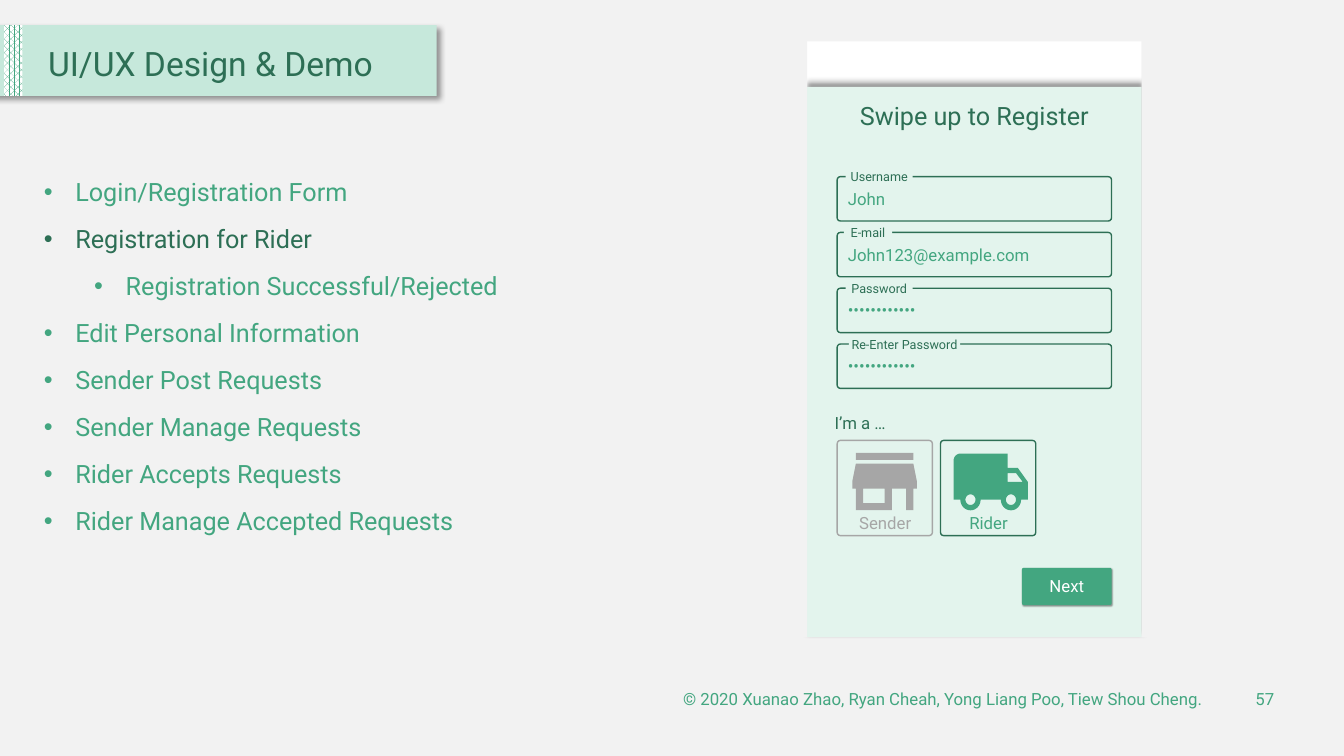
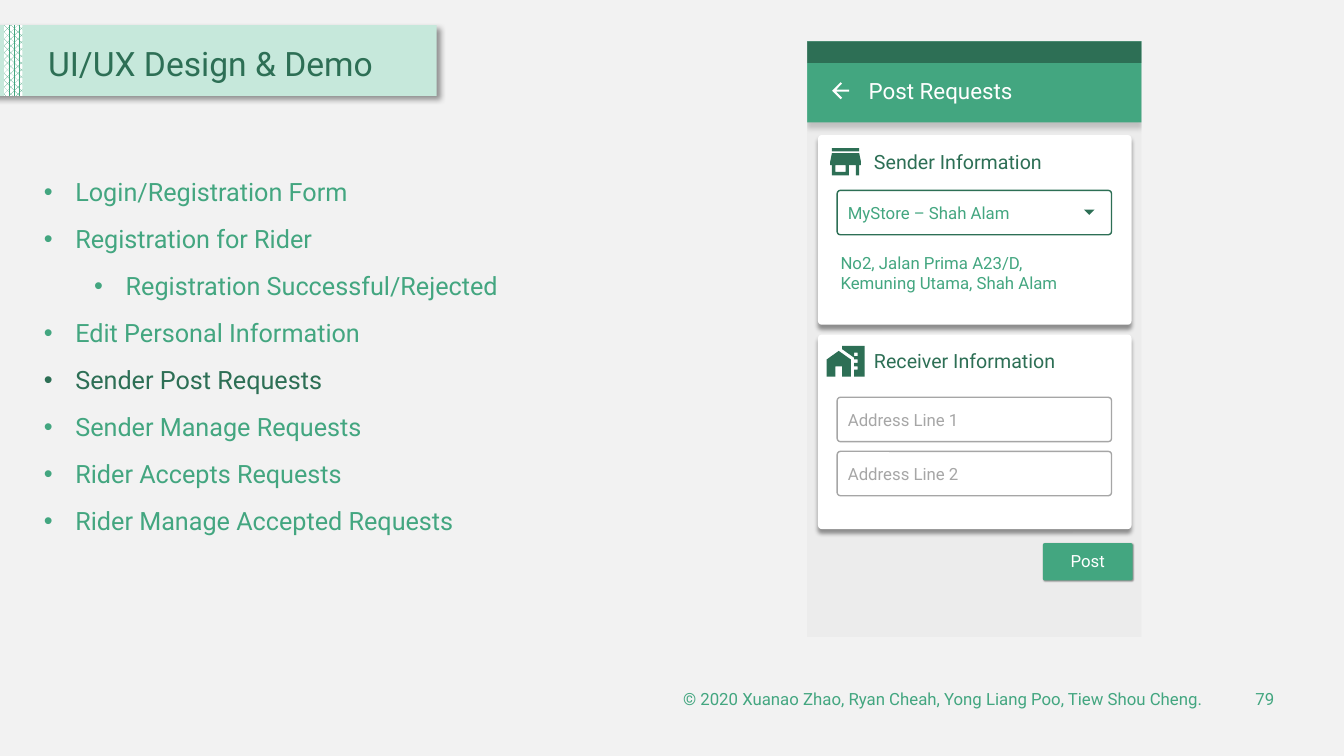
import math
from dataclasses import dataclass

from lxml import etree
from pptx import Presentation
from pptx.dml.color import RGBColor
from pptx.enum import dml, shapes, text
from pptx.oxml import ns
from pptx.util import Pt


@dataclass(frozen=True)
class Theme:
    font: str = "Roboto"
    page: str = "F2F2F2"
    band: str = "C6E8DB"
    panel: str = "E3F4ED"
    screen: str = "ECECEC"
    green: str = "43A680"
    dark: str = "2D6F55"
    grey: str = "A6A6A6"
    white: str = "FFFFFF"
    title: int = 24
    lead: int = 18
    header: int = 16
    card: int = 14
    body: int = 12
    caption: int = 9


T = Theme()
RECT = shapes.MSO_SHAPE.RECTANGLE
ROUND = shapes.MSO_SHAPE.ROUNDED_RECTANGLE
LEFT, CENTER, RIGHT = text.PP_ALIGN.LEFT, text.PP_ALIGN.CENTER, text.PP_ALIGN.RIGHT
TOP, MIDDLE = text.MSO_ANCHOR.TOP, text.MSO_ANCHOR.MIDDLE


def add_box(s, pos, fill=None, line=None, radius=None, shadow=None):
    """Radius is a share of the short side; shadow is (colour, blur, distance, degrees)."""
    sp = s.shapes.add_shape(RECT if radius is None else ROUND, *map(Pt, pos))
    if radius is not None:
        sp.adjustments[0] = radius
    if fill:
        sp.fill.solid()
        sp.fill.fore_color.rgb = RGBColor.from_string(fill)
    else:
        sp.fill.background()
    if line:
        sp.line.color.rgb = RGBColor.from_string(line)
        sp.line.width = Pt(1)
    else:
        sp.line.fill.background()
    sp.shadow.inherit = False
    if shadow:
        color, blur, dist, angle = shadow
        effects = sp._element.spPr.find(ns.qn("a:effectLst"))
        outer = etree.SubElement(effects, ns.qn("a:outerShdw"), blurRad=str(Pt(blur)),
                                 dist=str(Pt(dist)), dir=str(angle * 60000),
                                 algn="ctr", rotWithShape="0")
        rgb = etree.SubElement(outer, ns.qn("a:srgbClr"), val=color)
        etree.SubElement(rgb, ns.qn("a:alpha"), val="40000")
    return sp


def add_text(s, pos, words, size, color, align=LEFT, anchor=TOP):
    sp = s.shapes.add_textbox(*map(Pt, pos))
    tf = sp.text_frame
    tf.word_wrap = True
    tf.vertical_anchor = anchor
    p = tf.paragraphs[0]
    p.alignment = align
    r = p.add_run()
    r.text = words
    r.font.name = T.font
    r.font.size = Pt(size)
    r.font.color.rgb = RGBColor.from_string(color)
    return sp


prs = Presentation()
prs.slide_width, prs.slide_height = Pt(960), Pt(540)

# Shared frame: title band, topic list, footer
TOPICS = [
    (0, "Login/Registration Form"),
    (0, "Registration for Rider"),
    (1, "Registration Successful/Rejected"),
    (0, "Edit Personal Information"),
    (0, "Sender Post Requests"),
    (0, "Sender Manage Requests"),
    (0, "Rider Accepts Requests"),
    (0, "Rider Manage Accepted Requests"),
]
COPYRIGHT = "© 2020 Xuanao Zhao, Ryan Cheah, Yong Liang Poo, Tiew Shou Cheng."

slides = []
for number, current in [("57", "Registration for Rider"), ("79", "Sender Post Requests")]:
    s = prs.slides.add_slide(prs.slide_layouts[6])
    slides.append(s)
    s.background.fill.solid()
    s.background.fill.fore_color.rgb = RGBColor.from_string(T.page)

    add_box(s, (-15, 18, 327, 50.5), T.band, shadow=("000000", 4, 3, 45))
    stripe = add_box(s, (3, 18, 13, 50.5))
    stripe.fill.patterned()
    stripe.fill.pattern = dml.MSO_PATTERN.PERCENT_70
    stripe.fill.fore_color.rgb = RGBColor.from_string(T.green)
    stripe.fill.back_color.rgb = RGBColor.from_string(T.white)
    title = add_text(s, (27.3, 25.5, 285, 43), "UI/UX Design & Demo", T.title, T.dark,
                     anchor=MIDDLE)
    title.text_frame.paragraphs[0].line_spacing = 0.9

    tf = s.shapes.add_textbox(Pt(24.2), Pt(122.5), Pt(359), Pt(266)).text_frame
    tf.word_wrap = True
    for i, (level, topic) in enumerate(TOPICS):
        p = tf.add_paragraph() if i else tf.paragraphs[0]
        p.level = level
        if i:
            p.space_before = Pt(12)
        pPr = p._p.get_or_add_pPr()
        pPr.set("marL", str(Pt(22.5 + 36 * level)))
        pPr.set("indent", str(Pt(-22.5)))
        etree.SubElement(pPr, ns.qn("a:buFont"), typeface="Arial")
        etree.SubElement(pPr, ns.qn("a:buChar"), char="•")
        r = p.add_run()
        r.text = topic
        r.font.name = T.font
        r.font.size = Pt(T.lead)
        r.font.color.rgb = RGBColor.from_string(T.dark if topic == current else T.green)

    add_text(s, (391.7, 485, 474.5, 28.5), COPYRIGHT, T.body, T.green, RIGHT, MIDDLE)
    add_text(s, (875, 485, 42.3, 28.5), number, T.body, T.green, RIGHT, MIDDLE)

register, post = slides

# Phone screens
X, Y, W, H = 576.5, 29.5, 239, 425.5
add_box(register, (X, Y, W, H), T.white)
add_box(register, (X, 62, W, Y + H - 62), T.panel, shadow=("000000", 4, 3, 270))
add_box(post, (X, Y, W, H), T.screen)
add_box(post, (X, Y, W, 58), T.green, shadow=("808080", 4, 4, 90))
add_box(post, (X, Y, W, 15.5), T.dark)
for s in slides:
    for margin_left in (X - 12, X + W):
        add_box(s, (margin_left, Y, 12, H), T.page)

add_text(register, (X, 68, W, 29), "Swipe up to Register", T.lead, T.dark, CENTER)
add_text(register, (589, 291, 184, 21.6), "I’m a …", T.body, T.dark)
add_text(post, (613.4, 51.2, 126, 26.5), "Post Requests", T.header, T.white, anchor=MIDDLE)

for top, height, heading in [(96.5, 135.5, "Sender Information"),
                             (239, 139, "Receiver Information")]:
    add_box(post, (584.3, top, 224, height), T.white, radius=0.02,
            shadow=("000000", 3, 3, 90))
    add_text(post, (617.2, top + 6.7, 145, 24.5), heading, T.card, T.dark)
add_text(post, (593.3, 177, 184.5, 36), "No2, Jalan Prima A23/D, Kemuning Utama, Shah Alam",
         T.body, T.green)

# Form fields
FIELD_X, FIELD_W, FIELD_H, PITCH = 598, 196, 31.7, 39.85
DOTS = "••••••••••••"
FORM = [("Username", 604, 48, "John"), ("E-mail", 602.7, 34.5, "John123@example.com"),
        ("Password", 604, 48, DOTS), ("Re-Enter Password", 606.3, 79.5, DOTS)]
fields = [(register, 126.2 + i * PITCH, row[-1], T.dark, T.green)
          for i, row in enumerate(FORM)]
fields.append((post, 136, "MyStore – Shah Alam", T.dark, T.green))
fields += [(post, 283.8 + 38.6 * i, f"Address Line {i + 1}", T.grey, T.grey)
           for i in range(2)]
for s, top, value, line, color in fields:
    add_box(s, (FIELD_X, top, FIELD_W, FIELD_H), line=line, radius=0.075)
    add_text(s, (FIELD_X + 0.5, top + 5, FIELD_W - 4, 21.6), value, T.body, color)

for i, (name, left, width, value) in enumerate(FORM):
    caption = add_text(register, (left, 121.6 + i * PITCH, width, 9.4), name,
                       T.caption, T.dark, CENTER, MIDDLE)
    caption.fill.solid()
    caption.fill.fore_color.rgb = RGBColor.from_string(T.panel)
    tf = caption.text_frame
    tf.margin_left = tf.margin_right = tf.margin_top = tf.margin_bottom = 0

# Role tiles and buttons
for left, role, line, color in [(598, "Sender", T.grey, T.grey),
                                (671.8, "Rider", T.dark, T.green)]:
    add_box(register, (left, 314.6, 68, 68), line=line, radius=0.034)
    add_text(register, (left, 368, 68.6, 11), role, T.body, color, CENTER, MIDDLE)

for s, left, top, action in [(register, 730, 405.6, "Next"), (post, 745, 388, "Post")]:
    add_box(s, (left, top, 64, 26.6), T.green, radius=0.046, shadow=("000000", 1, 1, 45))
    add_text(s, (left, top + 2.2, 64, 21.6), action, T.body, T.white, CENTER)

# Icons: outlines on a 24-unit grid
STORE = [
    [(20, 4), (4, 4), (4, 6), (20, 6)],
    [(21, 14), (21, 12), (20, 7), (4, 7), (3, 12), (3, 14), (4, 14), (4, 20), (14, 20),
     (14, 14), (18, 14), (18, 20), (20, 20), (20, 14)],
    [(12, 18), (6, 18), (6, 14), (12, 14)],
]
arcs = {}
for cx, cy, radius, start, end in [(3, 6, 2, 270, 180), (6, 17, 3, 180, 0), (18, 17, 3, 180, 0),
                                   (6, 17, 1.5, 360, 0), (18, 17, 1.5, 360, 0)]:
    angles = [math.radians(start + (end - start) * k / 24) for k in range(25)]
    arcs[cx, radius] = [(cx + radius * math.cos(a), cy + radius * math.sin(a))
                        for a in angles]
TRUCK = [
    [(20, 8), (17, 8), (17, 4), *arcs[3, 2], (1, 17), *arcs[6, 3], *arcs[18, 3],
     (23, 17), (23, 12)],
    arcs[6, 1.5],
    arcs[18, 1.5],
    [(19.5, 9.5), (21.5, 12), (17, 12), (17, 9.5)],
]
BACK = [[(20, 11), (7.8, 11), (13.4, 5.4), (12, 4), (4, 12), (12, 20), (13.4, 18.6),
         (7.8, 13), (20, 13)]]
HOME_WORK = [
    [(8, 6), (1, 11), (1, 21), (6, 21), (6, 15), (10, 15), (10, 21), (15, 21), (15, 11)],
    [(10, 3), (10, 5), (17, 10), (17, 11), (19, 11), (19, 13), (17, 13), (17, 15),
     (19, 15), (19, 17), (17, 17), (17, 21), (23, 21), (23, 3)],
    [(19, 9), (17, 9), (17, 7), (19, 7)],
]
DROP_DOWN = [[(7, 10), (12, 15), (17, 10)]]

GRID = 100
for s, outlines, color, left, top, width, height in [
    (register, STORE, T.grey, 608.8, 323.5, 46.2, 41),
    (register, TRUCK, T.green, 681.2, 324, 53, 40.5),
    (post, BACK, T.white, 594.4, 58.7, 12.2, 12.2),
    (post, STORE, T.dark, 593, 105.8, 22, 19.5),
    (post, HOME_WORK, T.dark, 590.5, 247, 27, 22),
    (post, DROP_DOWN, T.dark, 774.2, 149.7, 7.7, 3.8),
]:
    xs, ys = zip(*[point for outline in outlines for point in outline])
    scale_x = Pt(width) / (max(xs) - min(xs))
    scale_y = Pt(height) / (max(ys) - min(ys))
    scaled = [[(x * GRID, y * GRID) for x, y in outline] for outline in outlines]
    builder = s.shapes.build_freeform(*scaled[0][0], scale=(scale_x / GRID, scale_y / GRID))
    for i, (first, *rest) in enumerate(scaled):
        if i:
            builder.move_to(*first)
        builder.add_line_segments(rest, close=True)
    sp = builder.convert_to_shape(int(Pt(left) - min(xs) * scale_x),
                                  int(Pt(top) - min(ys) * scale_y))
    sp.fill.solid()
    sp.fill.fore_color.rgb = RGBColor.from_string(color)
    sp.line.fill.background()
    sp.shadow.inherit = False

prs.save("out.pptx")
